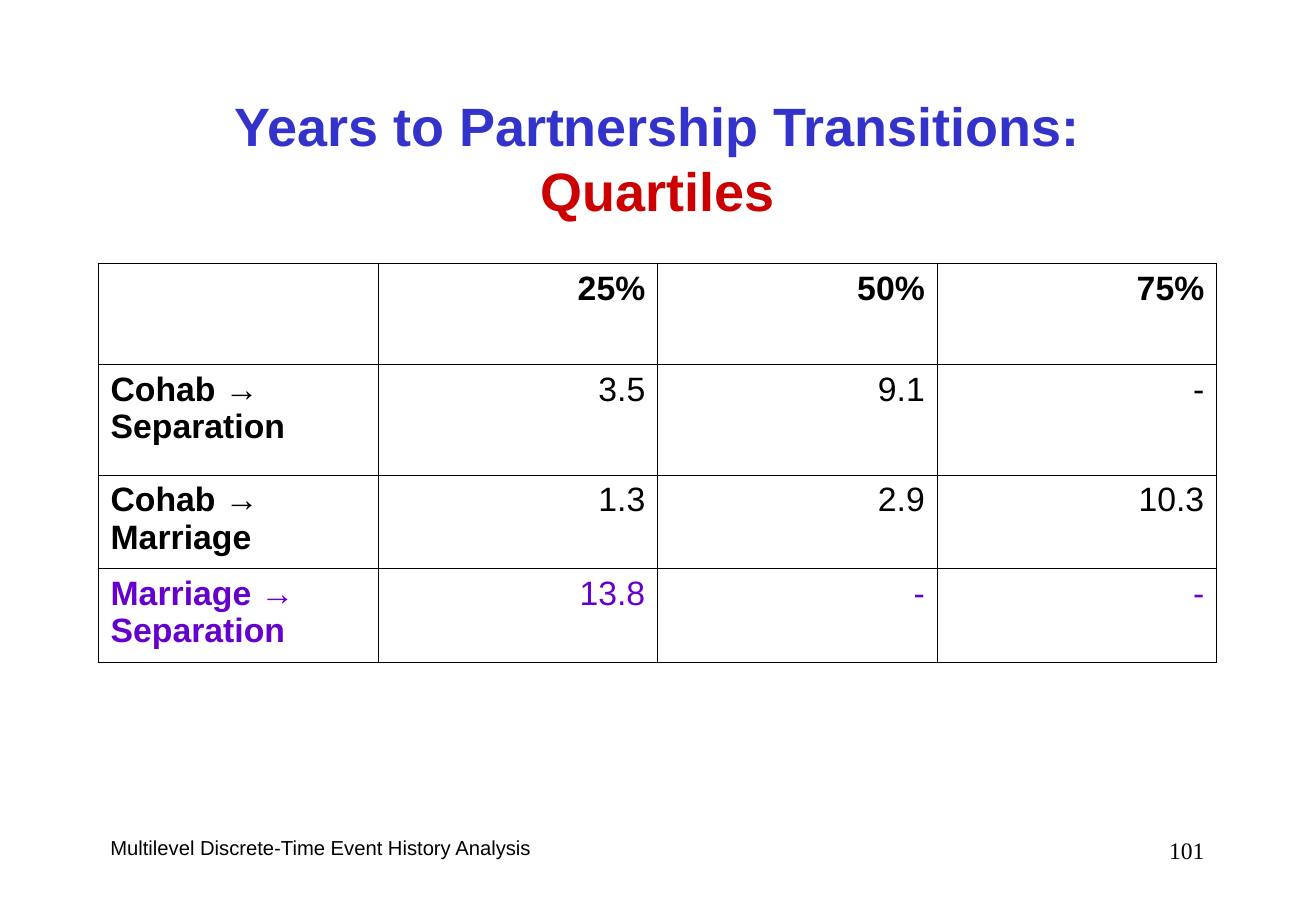
"""Build the slide on quartiles of years to partnership transitions."""
from dataclasses import dataclass

from lxml import etree
from pptx import Presentation
from pptx.dml.color import RGBColor
from pptx.enum.text import MSO_ANCHOR, PP_ALIGN
from pptx.oxml.ns import qn
from pptx.slide import Slide
from pptx.table import _Cell
from pptx.text.text import _Run
from pptx.util import Cm, Pt

LEFT, CENTER, RIGHT = PP_ALIGN.LEFT, PP_ALIGN.CENTER, PP_ALIGN.RIGHT
TOP, MIDDLE = MSO_ANCHOR.TOP, MSO_ANCHOR.MIDDLE

COLORS = {"black": "000000", "blue": "3333CC", "red": "CC0000", "purple": "6600CC"}
MARGIN_LEFT = 2.06
CONTENT_WIDTH = 23.39
TABLE_TOP = 5.51
THIN, THICK = Pt(0.45), Pt(1.08)
HEADINGS = ("", "25%", "50%", "75%")


@dataclass(frozen=True)
class Label:
    """A text box; each line of its text has its own colour."""

    text: str
    left: float
    top: float
    width: float
    height: float
    size: int
    colors: tuple[str, ...] = ("black",)
    font: str = "Arial"
    align: PP_ALIGN = LEFT
    anchor: MSO_ANCHOR = TOP
    bold: bool = False


@dataclass(frozen=True)
class TableRow:
    """One table row with its height and text colour."""

    values: tuple[str, ...]
    height: float
    color: str = "black"


LABELS = (
    Label("Multilevel Discrete-Time Event History Analysis", MARGIN_LEFT, 17.35, 16.05, 1.27, 12),
    Label("101", 19.71, 17.35, 5.74, 1.27, 14, font="Times New Roman", align=RIGHT),
    Label("Years to Partnership Transitions:\vQuartiles", MARGIN_LEFT, 1.7, CONTENT_WIDTH, 3.18,
          32, ("blue", "red"), align=CENTER, anchor=MIDDLE, bold=True),
)

ROWS = (
    TableRow(HEADINGS, 2.11),
    TableRow(("Cohab → Separation", "3.5", "9.1", "-"), 2.31),
    TableRow(("Cohab → Marriage", "1.3", "2.9", "10.3"), 1.96),
    TableRow(("Marriage → Separation", "13.8", "-", "-"), 1.96, "purple"),
)


def format_run(span: _Run, font: str, size: int, color: str, bold: bool) -> None:
    """Set the font of one run."""
    span.font.name = font
    span.font.size = Pt(size)
    span.font.bold = bold
    span.font.color.rgb = RGBColor.from_string(COLORS[color])


def add_label(page: Slide, label: Label) -> None:
    """Draw one text box."""
    box = page.shapes.add_textbox(Cm(label.left), Cm(label.top), Cm(label.width), Cm(label.height))
    frame = box.text_frame
    frame.word_wrap = True
    frame.vertical_anchor = label.anchor
    para = frame.paragraphs[0]
    para.text = label.text
    para.alignment = label.align
    for span, color in zip(para.runs, label.colors):
        format_run(span, label.font, label.size, color, label.bold)


def set_borders(cell: _Cell, widths: dict[str, int]) -> None:
    """Give each side of a cell a black line."""
    properties = cell._tc.get_or_add_tcPr()
    for side, width in widths.items():
        line = etree.SubElement(properties, qn(f"a:ln{side}"), w=str(width))
        fill = etree.SubElement(line, qn("a:solidFill"))
        etree.SubElement(fill, qn("a:srgbClr"), val=COLORS["black"])


def add_quartile_table(page: Slide) -> None:
    """Draw the table with a thick frame and thin inner lines."""
    last_row, last_column = len(ROWS) - 1, len(HEADINGS) - 1
    height = sum(row.height for row in ROWS)
    table = page.shapes.add_table(len(ROWS), len(HEADINGS), Cm(MARGIN_LEFT), Cm(TABLE_TOP),
                                  Cm(CONTENT_WIDTH), Cm(height)).table
    table.first_row = False
    table.horz_banding = False
    for row_index, row in enumerate(ROWS):
        table.rows[row_index].height = Cm(row.height)
        for column_index, value in enumerate(row.values):
            cell = table.cell(row_index, column_index)
            set_borders(cell, {
                "L": THICK if column_index == 0 else THIN,
                "R": THICK if column_index == last_column else THIN,
                "T": THICK if row_index == 0 else THIN,
                "B": THICK if row_index == last_row else THIN,
            })
            cell.fill.background()
            cell.text_frame.text = value
            para = cell.text_frame.paragraphs[0]
            para.alignment = LEFT if column_index == 0 else RIGHT
            for span in para.runs:
                format_run(span, "Arial", 20, row.color, row_index == 0 or column_index == 0)


def main() -> None:
    """Build and save the deck."""
    deck = Presentation()
    deck.slide_width, deck.slide_height = Cm(27.53), Cm(19.05)
    page = deck.slides.add_slide(deck.slide_layouts[6])
    for label in LABELS:
        add_label(page, label)
    add_quartile_table(page)
    deck.save("out.pptx")


if __name__ == "__main__":
    main()
